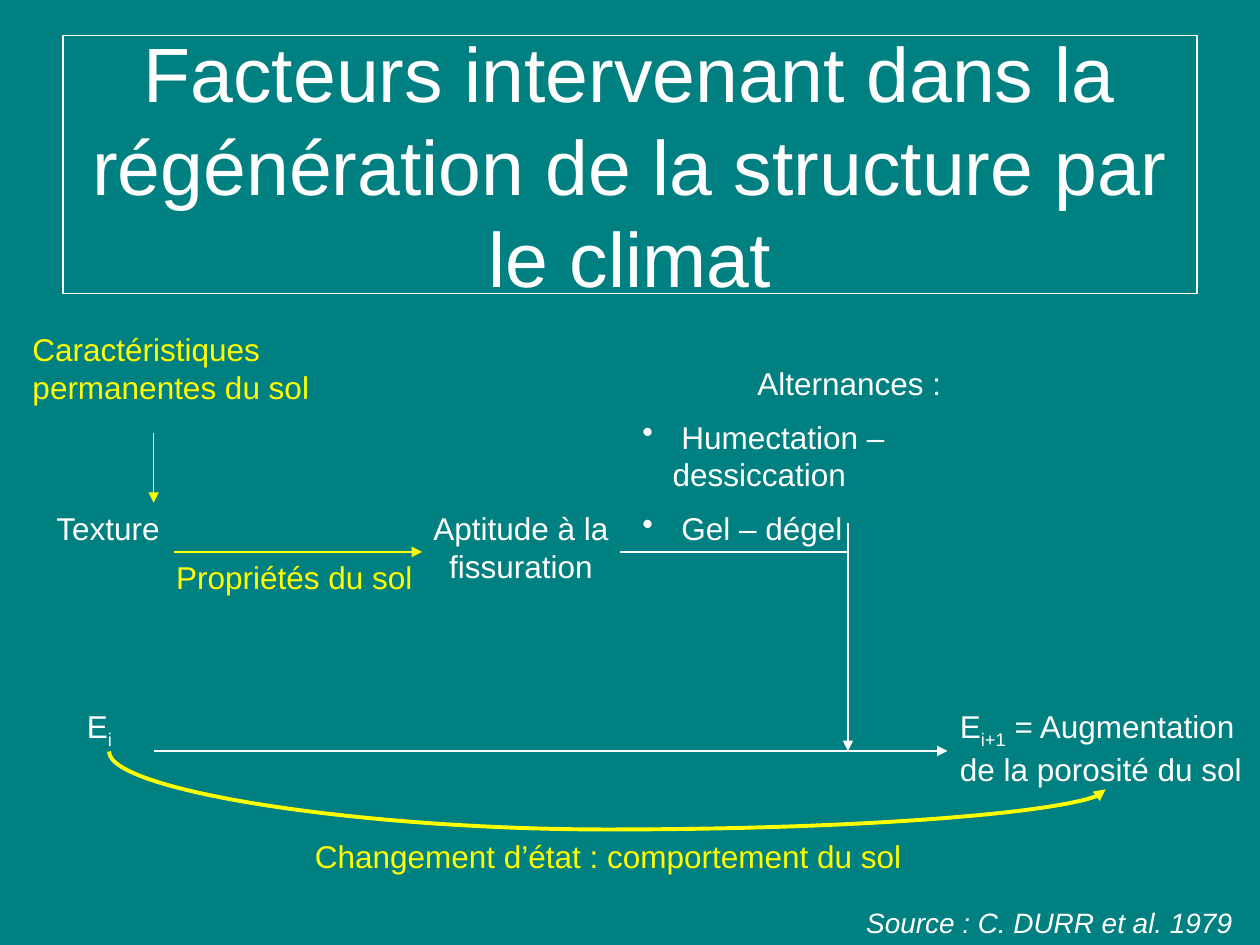
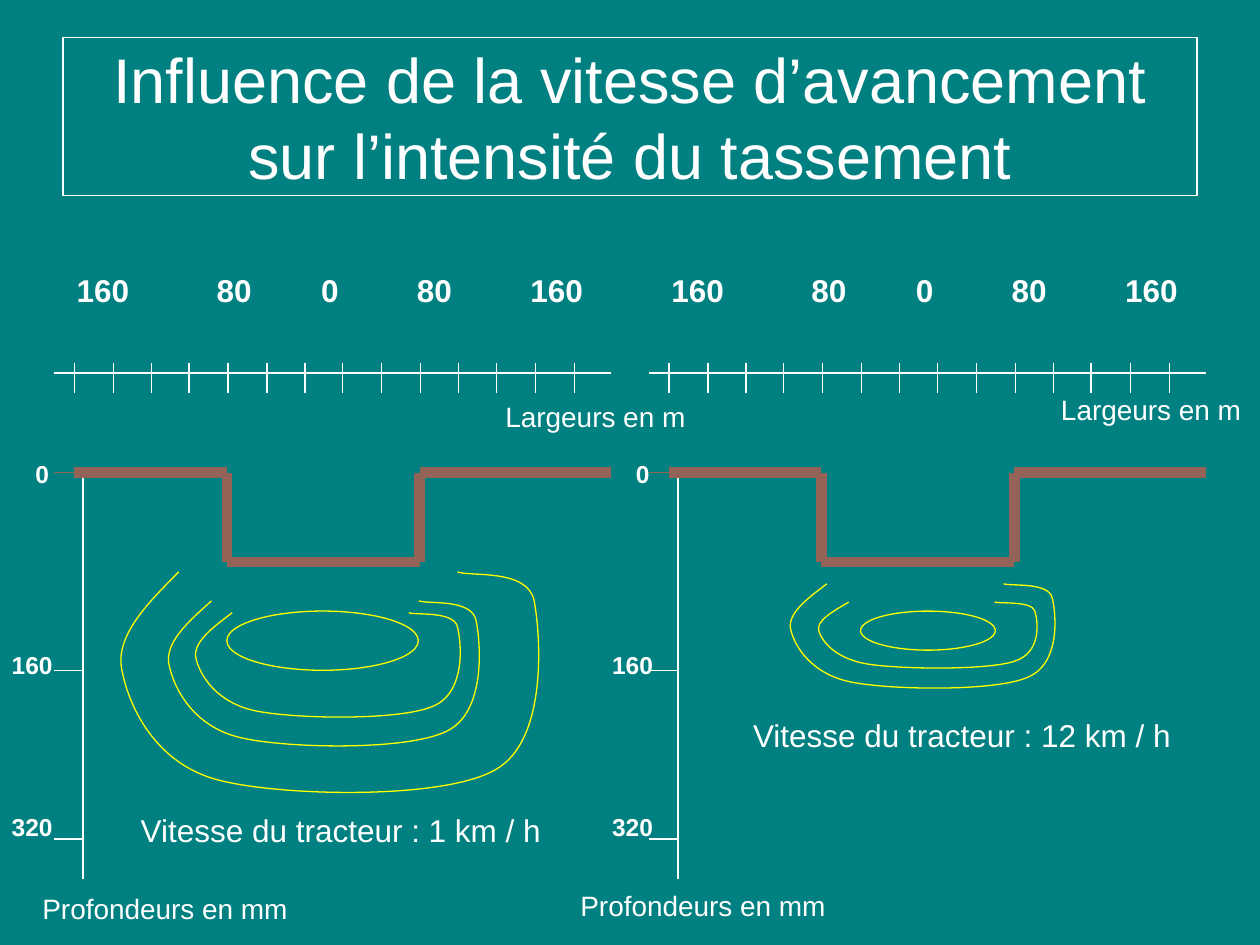
from dataclasses import dataclass

import pptx
import pptx.dml.color
import pptx.enum.shapes
import pptx.enum.text
import pptx.oxml.ns
import pptx.shapes.connector
import pptx.slide
import pptx.util
from lxml import etree

PX = 9144  # EMU per px, 100 px to the inch
ALIGN = pptx.enum.text.PP_ALIGN
LINK = pptx.enum.shapes.MSO_CONNECTOR
SHAPE = pptx.enum.shapes.MSO_SHAPE
Slide = pptx.slide.Slide
Link = pptx.shapes.connector.Connector
qn = pptx.oxml.ns.qn


@dataclass(frozen=True)
class Theme:
    font: str = "Arial"
    back: str = "008080"
    white: str = "FFFFFF"
    yellow: str = "FFFF00"
    soil: str = "926356"
    body: int = 18
    small: int = 16
    depth: int = 14
    thin: float = 0.75
    bold: float = 2.25
    thick: float = 6


THEME = Theme()


@dataclass(frozen=True)
class Box:
    x: int
    y: int
    w: int
    h: int


@dataclass(frozen=True)
class Label:
    box: Box
    text: str  # subscripts stand between underscores
    align: ALIGN = ALIGN.LEFT
    color: str = THEME.white
    size: int = THEME.body
    bold: bool = False
    slant: bool = False


@dataclass(frozen=True)
class Line:
    x1: int
    y1: int
    x2: int
    y2: int
    color: str = THEME.white
    width: float = THEME.thin
    arrow: bool = False


@dataclass(frozen=True)
class Panel:
    shift: int
    depth: Box
    core: Box
    rings: tuple[Box, ...]
    notes: tuple[Label, ...]


def px(value: float) -> int:
    return round(value * PX)


def rgb(code: str) -> pptx.dml.color.RGBColor:
    return pptx.dml.color.RGBColor.from_string(code)


# Shared drawing
def stroke(shape, color: str, width: float) -> None:
    shape.line.color.rgb = rgb(color)
    shape.line.width = pptx.util.Pt(width)


def style(frame, label: Label) -> None:
    frame.word_wrap = True
    for row, para in enumerate(frame.paragraphs):
        para.alignment = label.align
        if row:
            para.space_before = pptx.util.Pt(label.size / 2)
        for run in para.runs:
            font = run.font
            font.name, font.size = THEME.font, pptx.util.Pt(label.size)
            font.color.rgb = rgb(label.color)
            font.bold, font.italic = label.bold, label.slant


def write(slide: Slide, label: Label):
    box = label.box
    frame = slide.shapes.add_textbox(px(box.x), px(box.y), px(box.w), px(box.h)).text_frame
    parts = label.text.split("_")
    frame.text = parts[0]
    for spot, part in enumerate(parts[1:], 1):
        run = frame.paragraphs[0].add_run()
        run.text = part
        if spot % 2:
            run.font._element.set("baseline", "-25000")
    style(frame, label)
    return frame


def draw(slide: Slide, line: Line, kind: LINK = LINK.STRAIGHT) -> Link:
    link = slide.shapes.add_connector(kind, px(line.x1), px(line.y1), px(line.x2), px(line.y2))
    stroke(link, line.color, line.width)
    props = link.element.spPr
    if line.arrow:
        etree.SubElement(props.find(qn("a:ln")), qn("a:tailEnd"), type="triangle")
    etree.SubElement(props, qn("a:effectLst"))
    return link


def frame_shape(slide: Slide, kind: SHAPE, box: Box, color: str):
    shape = slide.shapes.add_shape(kind, px(box.x), px(box.y), px(box.w), px(box.h))
    shape.shadow.inherit = False
    shape.fill.background()
    stroke(shape, color, THEME.thin)
    return shape


def start(deck, text: str, box: Box, size: int) -> Slide:
    slide = deck.slides.add_slide(deck.slide_layouts[6])
    fill = slide.background.fill
    fill.solid()
    fill.fore_color.rgb = rgb(THEME.back)
    frame = frame_shape(slide, SHAPE.RECTANGLE, box, THEME.white).text_frame
    frame.text = text
    frame.vertical_anchor = pptx.enum.text.MSO_ANCHOR.MIDDLE
    style(frame, Label(box, text, ALIGN.CENTER, size=size))
    return slide


# Slide 1: climate factors
FLOWS = (
    Line(122, 596, 752, 596, arrow=True),
    Line(138, 438, 335, 438, THEME.yellow, arrow=True),
    Line(492, 438, 673, 438),
    Line(673, 415, 673, 596, arrow=True),
    Line(122, 344, 122, 399, THEME.yellow, arrow=True),
)
TERMS = (
    Label(Box(752, 556, 252, 70), "E_i+1_ = Augmentation de la porosité du sol"),
    Label(Box(59, 556, 55, 40), "E_i"),
    Label(Box(35, 399, 173, 40), "Texture"),
    Label(Box(327, 399, 173, 70), "Aptitude à la fissuration", ALIGN.CENTER),
    Label(Box(240, 659, 512, 40), "Changement d’état : comportement du sol", color=THEME.yellow),
    Label(Box(16, 257, 244, 70), "Caractéristiques permanentes du sol", color=THEME.yellow),
    Label(Box(130, 438, 244, 40), "Propriétés du sol", color=THEME.yellow),
    Label(Box(516, 714, 472, 37), "Source : C. DURR et al. 1979", ALIGN.RIGHT,
          size=THEME.small, slant=True),
)
CYCLES = Label(Box(500, 284, 355, 130),
               "Alternances : \n Humectation – dessiccation\n Gel – dégel")


def list_cycles(slide: Slide) -> None:
    paras = write(slide, CYCLES).paragraphs
    paras[0].alignment = ALIGN.CENTER
    for para in paras[1:]:
        props = para._p.get_or_add_pPr()
        for key, value in (("marL", 24), ("marR", 10), ("indent", -24)):
            props.set(key, str(px(value)))
        etree.SubElement(props, qn("a:buChar"), char="•")


def bend(slide: Slide) -> None:
    """Curved arrow from the first state to the next one."""
    link = draw(slide, Line(467, 216, 497, 1007, THEME.yellow, THEME.bold), LINK.CURVE)
    props = link.element.spPr
    turn = props.find(qn("a:xfrm"))
    turn.set("rot", "16200000")
    turn.set("flipV", "1")
    geom = props.find(qn("a:prstGeom"))
    guides = geom.find(qn("a:avLst"))
    if guides is None:
        guides = etree.SubElement(geom, qn("a:avLst"))
    etree.SubElement(guides, qn("a:gd"), name="adj1", fmla="val -106400")
    etree.SubElement(props.find(qn("a:ln")), qn("a:headEnd"), type="triangle")


def climate(deck) -> None:
    slide = start(deck, "Facteurs intervenant dans la régénération de la structure par le climat",
                  Box(50, 28, 900, 205), 44)
    for flow in FLOWS:
        draw(slide, flow)
    bend(slide)
    for term in TERMS:
        write(slide, term)
    list_cycles(slide)


# Slide 2: tractor speed
# Bézier points of a pressure ring, in thousandths of its box
RING = (
    (148, 16), (76, 152), (0, 293), (17, 440), (32, 592), (93, 842), (238, 913),
    (381, 984), (756, 1000), (878, 870), (1000, 745), (983, 288), (968, 141),
    (953, 0), (820, 38), (791, 16),
)
GROUND = ((59, 375), (180, 375), (180, 446), (333, 446), (333, 375), (485, 375))
TICKS, PITCH = 14, 30.5
STOPS = (125, 201, 284, 381)
GAPS = (92.5, 76)


def notes(width: Box, depth: Box, speed: Box, rate: int) -> tuple[Label, ...]:
    mid = ALIGN.CENTER
    return (Label(width, "Largeurs en m", mid, size=THEME.small),
            Label(depth, "Profondeurs en mm", mid, size=THEME.small),
            Label(speed, f"Vitesse du tracteur : {rate} km / h", mid))


PANELS = (
    Panel(0, Box(-12, 359, 75, 328), Box(180, 485, 152, 47),
          (Box(91, 451, 344, 184), Box(130, 475, 256, 121), Box(152, 485, 218, 87)),
          notes(Box(382, 312, 181, 37), Box(14, 703, 234, 37), Box(72, 639, 397, 40), 1)),
    Panel(472, Box(466, 359, 72, 328), Box(683, 485, 107, 31),
          (Box(624, 462, 218, 87), Box(647, 477, 180, 55)),
          notes(Box(823, 307, 181, 37), Box(441, 700, 234, 37), Box(555, 563, 417, 40), 12)),
)


def ring(slide: Slide, box: Box) -> None:
    spots = [(px(box.x + box.w * x / 1000), px(box.y + box.h * y / 1000)) for x, y in RING]
    build = slide.shapes.build_freeform(*spots[0])
    build.add_line_segments(spots[1:], close=False)
    shape = build.convert_to_shape()
    shape.shadow.inherit = False
    shape.fill.background()
    stroke(shape, THEME.yellow, THEME.thin)
    # Each three points make one curve
    track = next(shape.element.iter(qn("a:path")))
    legs = track.findall(qn("a:lnTo"))
    for first in range(0, len(legs), 3):
        curve = etree.SubElement(track, qn("a:cubicBezTo"))
        for leg in legs[first:first + 3]:
            curve.append(leg[0])
            track.remove(leg)


def scales(slide: Slide, panel: Panel) -> None:
    dx = panel.shift
    draw(slide, Line(43 + dx, 296, 485 + dx, 296))
    for tick in range(TICKS):
        x = round(59 + dx + tick * PITCH)
        draw(slide, Line(x, 288, x, 312))
    draw(slide, Line(66 + dx, 375, 66 + dx, 698))
    for y, color in ((375, THEME.soil), (532, THEME.white), (666, THEME.white)):
        draw(slide, Line(43 + dx, y, 66 + dx, y, color))

    widths = write(slide, Label(Box(51 + dx, 210, 434, 40), "160\t80\t0\t80\t160", bold=True))
    tabs = etree.SubElement(widths.paragraphs[0]._p.get_or_add_pPr(), qn("a:tabLst"))
    for stop in STOPS:
        etree.SubElement(tabs, qn("a:tab"), pos=str(px(stop)), algn="ctr")

    depths = write(slide, Label(panel.depth, "0\n160\n320", ALIGN.CENTER,
                                size=THEME.depth, bold=True)).paragraphs
    depths[0]._p.get_or_add_pPr().set("marL", str(px(16)))
    for para, gap in zip(depths[1:], GAPS):
        para.space_before = pptx.util.Pt(gap)


def profile(slide: Slide, panel: Panel) -> None:
    scales(slide, panel)
    for (x1, y1), (x2, y2) in zip(GROUND, GROUND[1:]):
        draw(slide, Line(x1 + panel.shift, y1, x2 + panel.shift, y2, THEME.soil, THEME.thick))
    frame_shape(slide, SHAPE.OVAL, panel.core, THEME.yellow)
    for box in panel.rings:
        ring(slide, box)
    for note in panel.notes:
        write(slide, note)


def speed(deck) -> None:
    slide = start(deck, "Influence de la vitesse d’avancement sur l’intensité du tassement",
                  Box(50, 30, 900, 125), 36)
    for panel in PANELS:
        profile(slide, panel)


def main() -> None:
    deck = pptx.Presentation()
    deck.slide_width, deck.slide_height = px(1000), px(750)
    climate(deck)
    speed(deck)
    deck.save("out.pptx")


if __name__ == "__main__":
    main()
